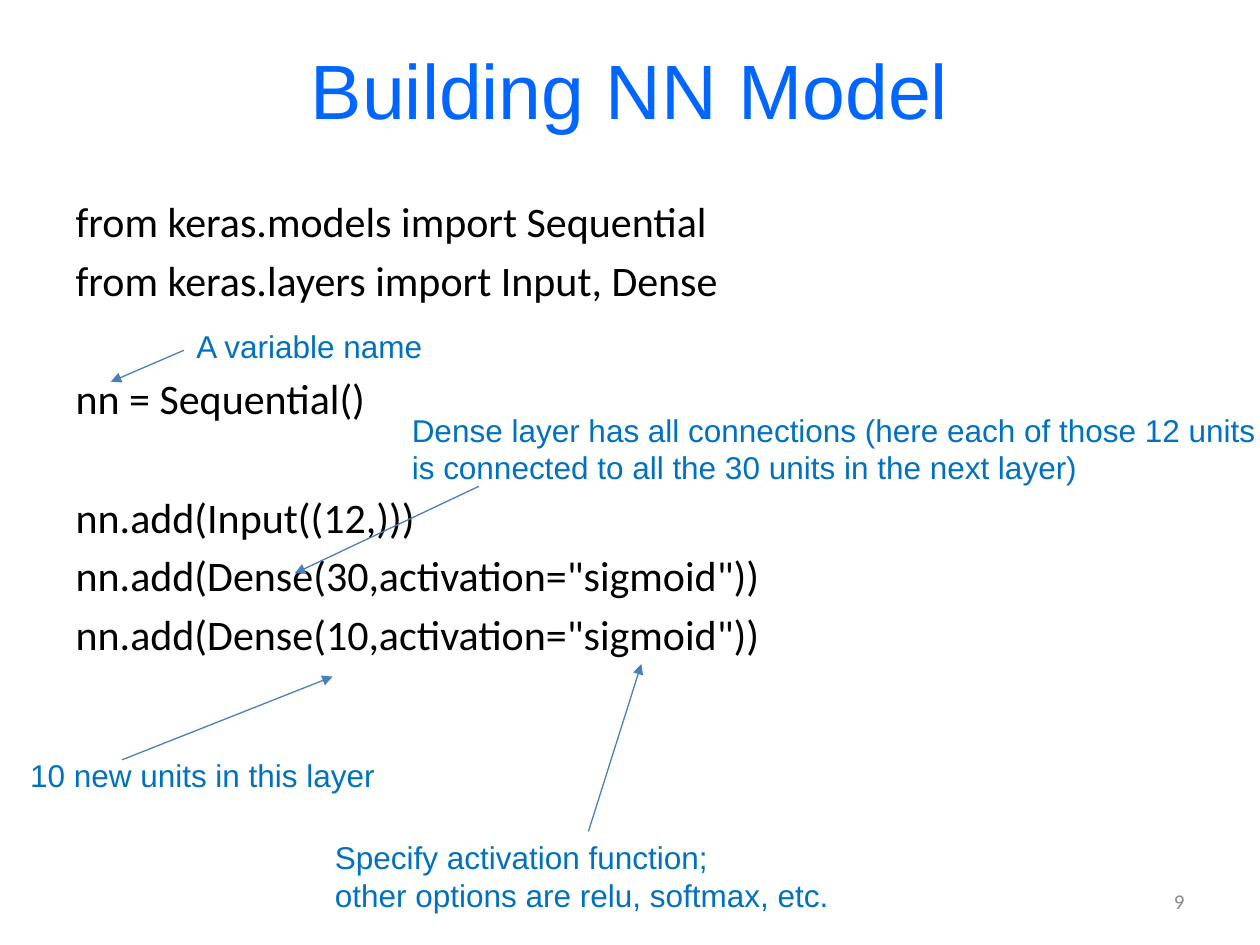
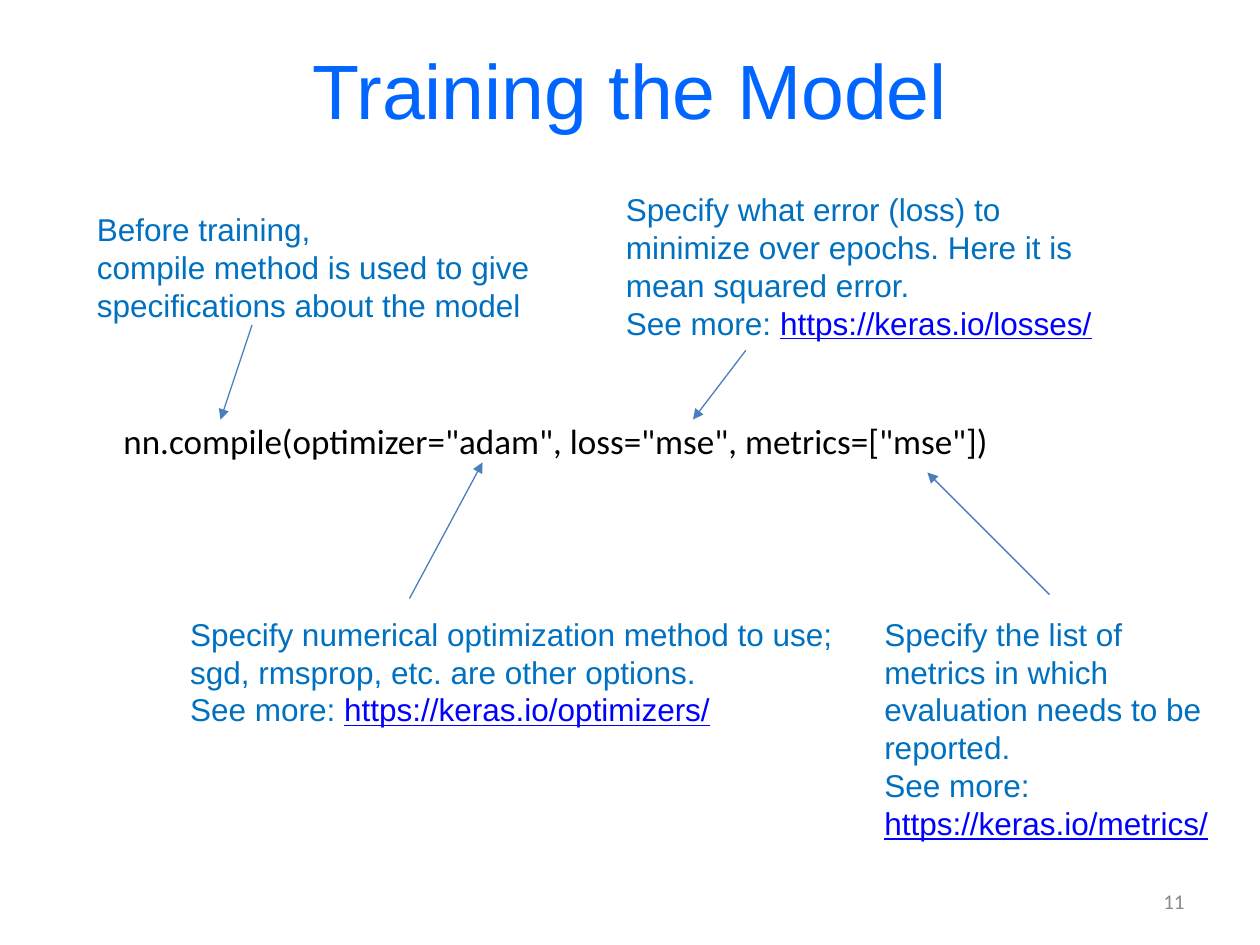
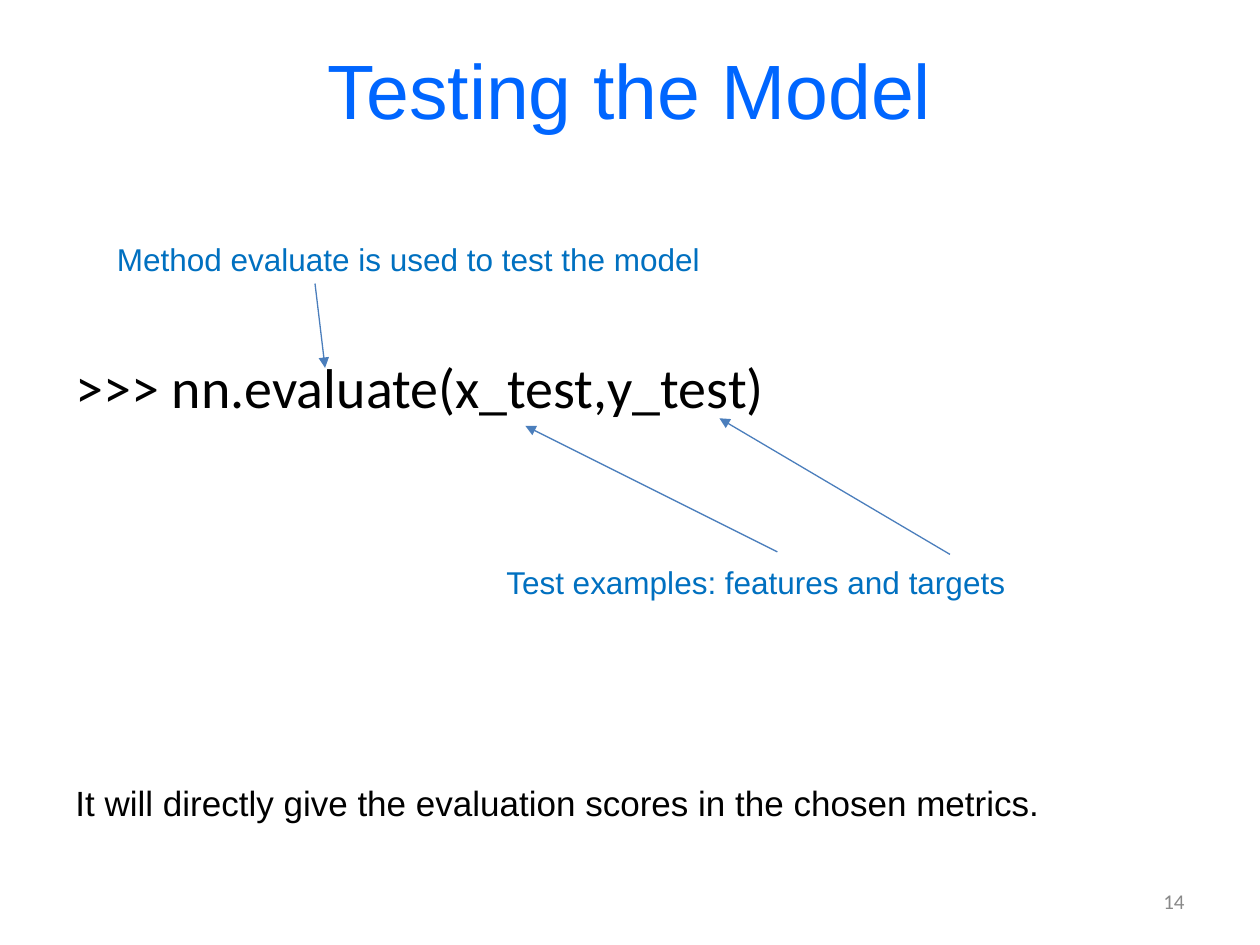
from lxml import etree
from pptx import Presentation
from pptx.dml.color import RGBColor as Rgb
from pptx.enum.shapes import MSO_CONNECTOR as Link
from pptx.enum.text import MSO_ANCHOR as Anchor, MSO_AUTO_SIZE as Fit, PP_ALIGN as Align
from pptx.oxml.ns import qn
from pptx.util import Inches, Pt

HUES = {"title": "0066FF", "code": "000000", "note": "0070C0",
        "url": "0000FF", "page": "898989", "arrow": "4B7EBC"}
FORMS = {
    "title": {"size": Pt(44), "name": "Arial"},
    "code": {"size": Pt(24), "name": "Calibri"},
    "note": {"size": Pt(18), "name": "Arial"},
    "url": {"size": Pt(18), "name": "Arial", "underline": True},
    "page": {"size": Pt(12), "name": "Calibri"},
}
TITLE_BOX = (0.5, 0.08, 9, 1.25)
BODY_BOX = (0.5, 1.5, 9, 5.67)
PAGE_BOX = (7.17, 6.95, 2.33, 0.4)

# code: (space before in points, line); inset: left and top of the code in its box
# notes: (box, lines); arrows: (from x, from y, to x, to y)
PAGES = [
    {
        "title": "Building NN Model", "page": "9", "size": 24, "inset": (0.1, 0.05),
        "code": [
            (0, "from keras.models import Sequential"),
            (4.8, "from keras.layers import Input, Dense"),
            (38.9, "nn = Sequential()"),
            (38.9, "nn.add(Input((12,)))"),
            (4.8, 'nn.add(Dense(30,activation="sigmoid"))'),
            (4.8, 'nn.add(Dense(10,activation="sigmoid"))'),
        ],
        "notes": [
            ((1.46, 2.55, 2.08, 0.4), ["A variable name"]),
            ((3.17, 3.21, 7.03, 0.71),
             ["Dense layer has all connections (here each of those 12 units",
              "is connected to all the 30 units in the next layer)"]),
            ((0.14, 5.95, 2.96, 0.4), ["10 new units in this layer"]),
            ((2.56, 6.6, 4.14, 0.71),
             ["Specify activation function;", "other options are relu, softmax, etc."]),
        ],
        "arrows": [(1.46, 2.78, 0.88, 3.03), (3.8, 3.86, 2.34, 4.55),
                   (0.97, 6.03, 2.64, 5.37), (4.67, 6.6, 5.09, 5.27)],
    },
    {
        "title": "Training the Model", "page": "11", "size": 20, "inset": (0.48, 1.83),
        "code": [(0, 'nn.compile(optimizer="adam", loss="mse", metrics=["mse"])')],
        "notes": [
            ((0.67, 1.62, 3.74, 1.01),
             ["Before training,", "compile method is used to give",
              "specifications about the model"]),
            ((1.41, 4.83, 5.35, 1.01),
             ["Specify numerical optimization method to use;",
              "sgd, rmsprop, etc. are other options.",
              "See more: https://keras.io/optimizers/"]),
            ((4.87, 1.46, 4, 1.31),
             ["Specify what error (loss) to", "minimize over epochs. Here it is",
              "mean squared error.", "See more: https://keras.io/losses/"]),
            ((6.92, 4.83, 3.17, 1.92),
             ["Specify the list of", "metrics in which", "evaluation needs to be",
              "reported.", "See more: https://keras.io/metrics/"]),
        ],
        "arrows": [(2, 2.58, 1.75, 3.33), (3.25, 4.75, 3.83, 3.67),
                   (5.92, 2.78, 5.5, 3.33), (8.33, 4.72, 7.36, 3.75)],
    },
    {
        "title": "Testing the Model", "page": "14", "size": 32, "inset": (0.1, 1.3),
        "code": [(0, ">>> nn.evaluate(x_test,y_test)")],
        "notes": [
            ((0.83, 1.86, 4.87, 0.4), ["Method evaluate is used to test the model"]),
            ((3.92, 4.42, 4.3, 0.4), ["Test examples: features and targets"]),
        ],
        "arrows": [(2.5, 2.25, 2.58, 2.92), (6.17, 4.38, 4.17, 3.38),
                   (7.54, 4.4, 5.71, 3.32)],
        "result": ((0.5, 6.15, 7.91, 0.44),
                   "It will directly give the evaluation scores in the chosen metrics."),
    },
]


def place(shape, box):
    """Set the shape's box in inches and return its wrapping text frame."""
    shape.left, shape.top, shape.width, shape.height = map(Inches, box)
    frame = shape.text_frame
    frame.word_wrap = True
    frame.auto_size = Fit.NONE
    return frame


def write(para, text, kind, **extra):
    run = para.add_run()
    run.text = text
    for key, value in {**FORMS[kind], **extra}.items():
        setattr(run.font, key, value)
    run.font.color.rgb = Rgb.from_string(HUES[kind])


deck = Presentation()
deck.slide_width, deck.slide_height = Inches(10), Inches(7.5)

for page in PAGES:
    slide = deck.slides.add_slide(deck.slide_layouts[1])
    shapes = slide.shapes

    frame = place(shapes.title, TITLE_BOX)
    frame.vertical_anchor = Anchor.MIDDLE
    para = frame.paragraphs[0]
    para.alignment = Align.CENTER
    write(para, page["title"], "title")

    frame = place(slide.placeholders[1], BODY_BOX)
    frame.margin_left, frame.margin_top = map(Inches, page["inset"])
    for i, (gap, line) in enumerate(page["code"]):
        para = frame.add_paragraph() if i else frame.paragraphs[0]
        props = para._p.get_or_add_pPr()
        props.set("marL", "0")
        props.set("indent", "0")
        etree.SubElement(props, qn("a:buNone"))
        para.space_before = Pt(gap)
        write(para, line, "code", size=Pt(page["size"]))

    frame = place(shapes.add_textbox(0, 0, 0, 0), PAGE_BOX)
    frame.vertical_anchor = Anchor.MIDDLE
    para = frame.paragraphs[0]
    para.alignment = Align.RIGHT
    write(para, page["page"], "page")

    for ends in page["arrows"]:
        arrow = shapes.add_connector(Link.STRAIGHT, *map(Inches, ends))
        arrow.line.width = Pt(0.75)
        arrow.line.color.rgb = Rgb.from_string(HUES["arrow"])
        etree.SubElement(arrow.line._get_or_add_ln(), qn("a:tailEnd"), type="triangle")
        etree.SubElement(arrow._element.spPr, qn("a:effectLst"))

    for box, lines in page["notes"]:
        frame = place(shapes.add_textbox(0, 0, 0, 0), box)
        for i, line in enumerate(lines):
            para = frame.add_paragraph() if i else frame.paragraphs[0]
            lead, mark, rest = line.partition("https://")
            write(para, lead, "note")
            if mark:
                write(para, mark + rest, "url")

    if "result" in page:
        box, line = page["result"]
        frame = place(shapes.add_textbox(0, 0, 0, 0), box)
        write(frame.paragraphs[0], line, "code", size=Pt(20), name="Arial")

deck.save("out.pptx")
